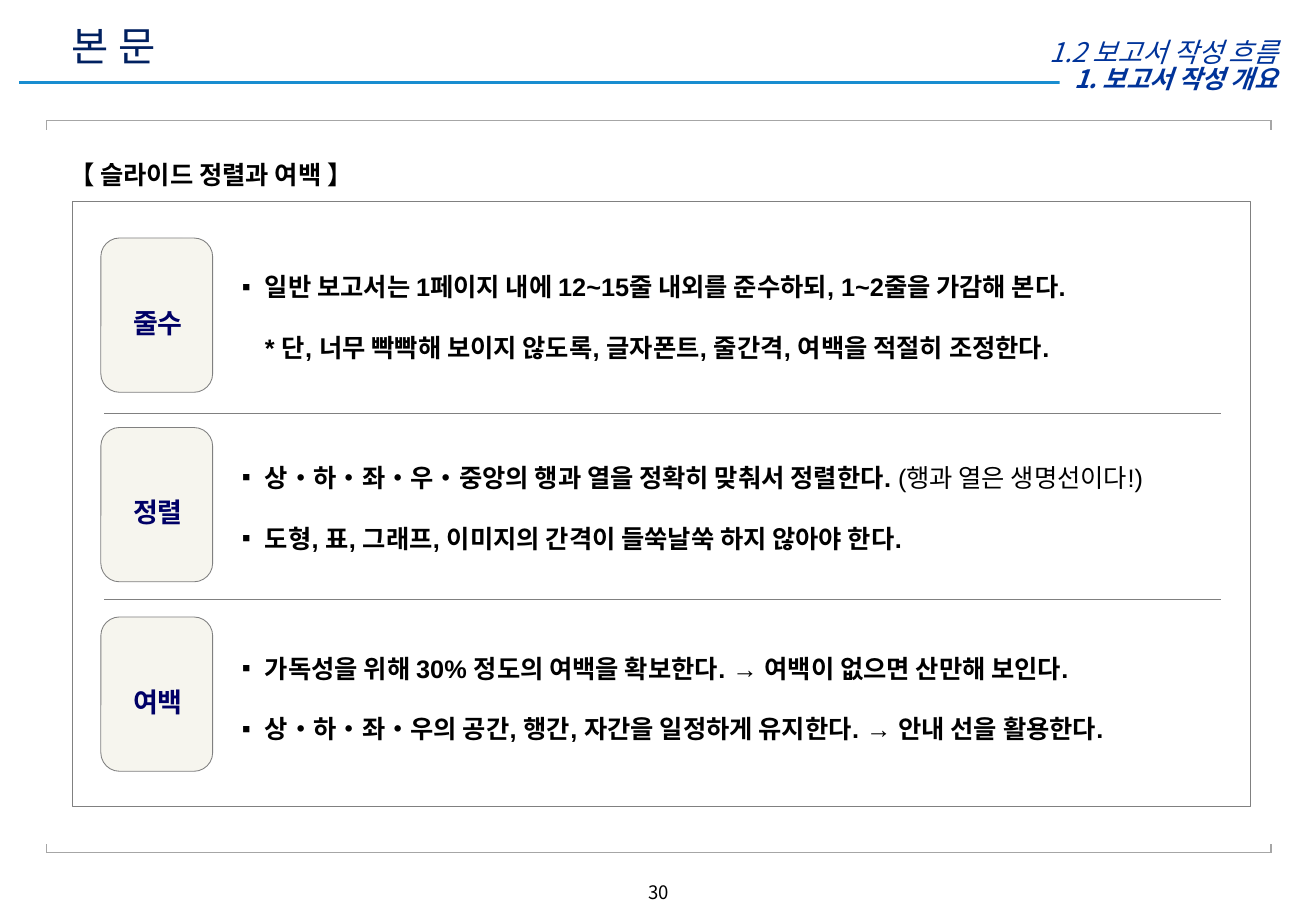
from lxml import etree
from pptx import Presentation
from pptx.dml.color import RGBColor
from pptx.enum.dml import MSO_LINE
from pptx.enum.shapes import MSO_CONNECTOR, MSO_SHAPE
from pptx.enum.text import MSO_ANCHOR as ANCHOR, MSO_AUTO_SIZE, PP_ALIGN as ALIGN
from pptx.oxml.ns import qn
from pptx.util import Inches, Pt

SANS, ARIAL = "Noto Sans CJK KR", "Arial"
BLUE, GRAY, LIGHT_GRAY = "003399", "808080", "A6A6A6"

# label, text width, paragraphs made of (text, bold) runs; \n is a line break
ROWS = [
    ("줄수", 8.39, [
        [("일반 보고서는 1페이지 내에 12~15줄 내외를 준수하되, 1~2줄을 가감해 본다.\n"
          "* 단, 너무 빡빡해 보이지 않도록, 글자폰트, 줄간격, 여백을 적절히 조정한다.", True)]]),
    ("정렬", 8.08, [
        [("상•하•좌•우•중앙의 행과 열을 정확히 맞춰서 정렬한다. ", True),
         ("(행과 열은 생명선이다!)", False)],
        [("도형, 표, 그래프, 이미지의 간격이 들쑥날쑥 하지 않아야 한다.", True)]]),
    ("여백", 8.08, [
        [("가독성을 위해 30% 정도의 여백을 확보한다. → 여백이 없으면 산만해 보인다.", True)],
        [("상•하•좌•우의 공간, 행간, 자간을 일정하게 유지한다. → 안내 선을 활용한다.", True)]]),
]


def rgb(color):
    return RGBColor.from_string(color)


def add_run(p, text, size=15, font=ARIAL, color="000000", bold=False, italic=False):
    for i, part in enumerate(text.split("\n")):
        if i:
            p.add_line_break()
        r = p.add_run()
        r.text = part
        f = r.font
        f.size, f.name, f.bold, f.italic = Pt(size), font, bold, italic
        f.color.rgb = rgb(color)
        ea = etree.Element(qn("a:ea"), typeface=SANS)
        r._r.get_or_add_rPr().find(qn("a:latin")).addnext(ea)


def set_frame(sp, anchor=ANCHOR.TOP, insets=(0.1, 0.05, 0.1, 0.05), wrap=True):
    tf = sp.text_frame
    tf.word_wrap, tf.auto_size, tf.vertical_anchor = wrap, MSO_AUTO_SIZE.NONE, anchor
    tf.margin_left, tf.margin_top, tf.margin_right, tf.margin_bottom = map(Inches, insets)
    return tf


def put_text(sp, text, align=ALIGN.LEFT, spacing=1.0, anchor=ANCHOR.TOP,
             insets=(0.1, 0.05, 0.1, 0.05), wrap=True, **fmt):
    p = set_frame(sp, anchor, insets, wrap).paragraphs[0]
    p.alignment, p.line_spacing, p.space_before = align, spacing, Pt(0)
    add_run(p, text, **fmt)


def place(sp, x, y, w, h):
    sp.left, sp.top, sp.width, sp.height = map(Inches, (x, y, w, h))
    return sp


def add_box(s, kind, x, y, w, h, fill=None, line=None):
    sp = s.shapes.add_shape(kind, *map(Inches, (x, y, w, h)))
    sp.shadow.inherit = False
    if fill:
        sp.fill.solid()
        sp.fill.fore_color.rgb = rgb(fill)
    else:
        sp.fill.background()
    if line:
        sp.line.color.rgb, sp.line.width = rgb(line), Pt(0.5)
    else:
        sp.line.fill.background()
    return sp


def add_line(s, x1, y1, x2, y2, color, width, dash=None):
    line = s.shapes.add_connector(MSO_CONNECTOR.STRAIGHT, *map(Inches, (x1, y1, x2, y2)))
    line.line.color.rgb, line.line.width = rgb(color), Pt(width)
    if dash:
        line.line.dash_style = dash
    etree.SubElement(line._element.spPr, qn("a:effectLst"))


def add_bracket(s, x, y, w, tick):
    """Horizontal rule with a short tick at both ends; a negative tick points up."""
    add_line(s, x, y, x + w, y, LIGHT_GRAY, 0.75)
    for end in (x, x + w):
        add_line(s, end, y, end, y + tick, LIGHT_GRAY, 0.75)


def add_header(s, x, y, w):
    add_line(s, x, y + 0.49, x + w, y + 0.49, "188DD0", 2)
    put_text(place(s.shapes.title, x + 0.33, y, 6.38, 0.37), "본 문",
             anchor=ANCHOR.MIDDLE, size=24, font=SANS, color="002060")
    chapter = add_box(s, MSO_SHAPE.RECTANGLE, x + 8.56, y + 0.33, 1.97, 0.25, fill="FFFFFF")
    put_text(chapter, "1. 보고서 작성 개요", align=ALIGN.CENTER, anchor=ANCHOR.MIDDLE,
             insets=(0.04, 0.05, 0.1, 0.05), wrap=False,
             font=SANS, color=BLUE, bold=True, italic=True)
    section = s.shapes.add_textbox(*map(Inches, (x + 6.99, y + 0.05, 3.47, 0.3)))
    put_text(section, "1.2 보고서 작성 흐름", align=ALIGN.RIGHT,
             size=16, font=SANS, color=BLUE, italic=True)


def fill_list(sp, paragraphs):
    tf = set_frame(sp, ANCHOR.MIDDLE)
    for i, runs in enumerate(paragraphs):
        p = tf.add_paragraph() if i else tf.paragraphs[0]
        pPr = p._p.get_or_add_pPr()
        pPr.set("marL", str(Inches(0.19)))
        pPr.set("indent", str(Inches(-0.19)))
        etree.SubElement(pPr, qn("a:buChar"), char="▪")
        p.alignment, p.line_spacing, p.space_before = ALIGN.LEFT, 2.0, Pt(0)
        for text, bold in runs:
            add_run(p, text, bold=bold)


def add_guidelines(s, x, y, w, h):
    """Framed rows of label and list, with the heading above the frame."""
    heading, *lists = [ph for ph in s.placeholders if ph.placeholder_format.idx]
    put_text(place(heading, x - 0.13, y - 0.4, 4.25, 0.35),
             "【 슬라이드 정렬과 여백 】", bold=True)
    add_box(s, MSO_SHAPE.RECTANGLE, x, y, w, h, line=GRAY)
    for i, (label, text_w, paragraphs) in enumerate(ROWS):
        tab = add_box(s, MSO_SHAPE.ROUNDED_RECTANGLE, x + 0.23, y + 0.3 + 1.56 * i,
                      0.92, 1.27, fill="F6F5EE", line=GRAY)
        put_text(tab, label, align=ALIGN.CENTER, spacing=1.2, anchor=ANCHOR.MIDDLE,
                 insets=(0.12, 0.12, 0.1, 0.05), size=16, color="000066", bold=True)
        fill_list(place(lists[i], x + 1.29, y + 0.08 + 1.57 * i, text_w, 1.49), paragraphs)
        if i:
            line_y = y + 0.21 + 1.53 * i
            add_line(s, x + 0.26, line_y, x + w - 0.25, line_y, GRAY, 0.25, MSO_LINE.ROUND_DOT)


def add_page_number(s, x, y, w, h):
    number = s.shapes.add_textbox(*map(Inches, (x, y, w, h)))
    put_text(number, "30", align=ALIGN.CENTER, size=11, font=SANS)


def main():
    prs = Presentation()
    prs.slide_width, prs.slide_height = Inches(10.83), Inches(7.5)
    s = prs.slides.add_slide(prs.slide_layouts.get_by_name("Comparison"))
    add_header(s, 0.16, 0.19, 10.43)
    add_bracket(s, 0.38, 0.99, 10.08, 0.08)
    add_guidelines(s, 0.6, 1.66, 9.69, 4.98)
    add_bracket(s, 0.38, 7.02, 10.08, -0.07)
    add_page_number(s, 4.39, 7.2, 2.06, 0.25)
    prs.save("out.pptx")


if __name__ == "__main__":
    main()
